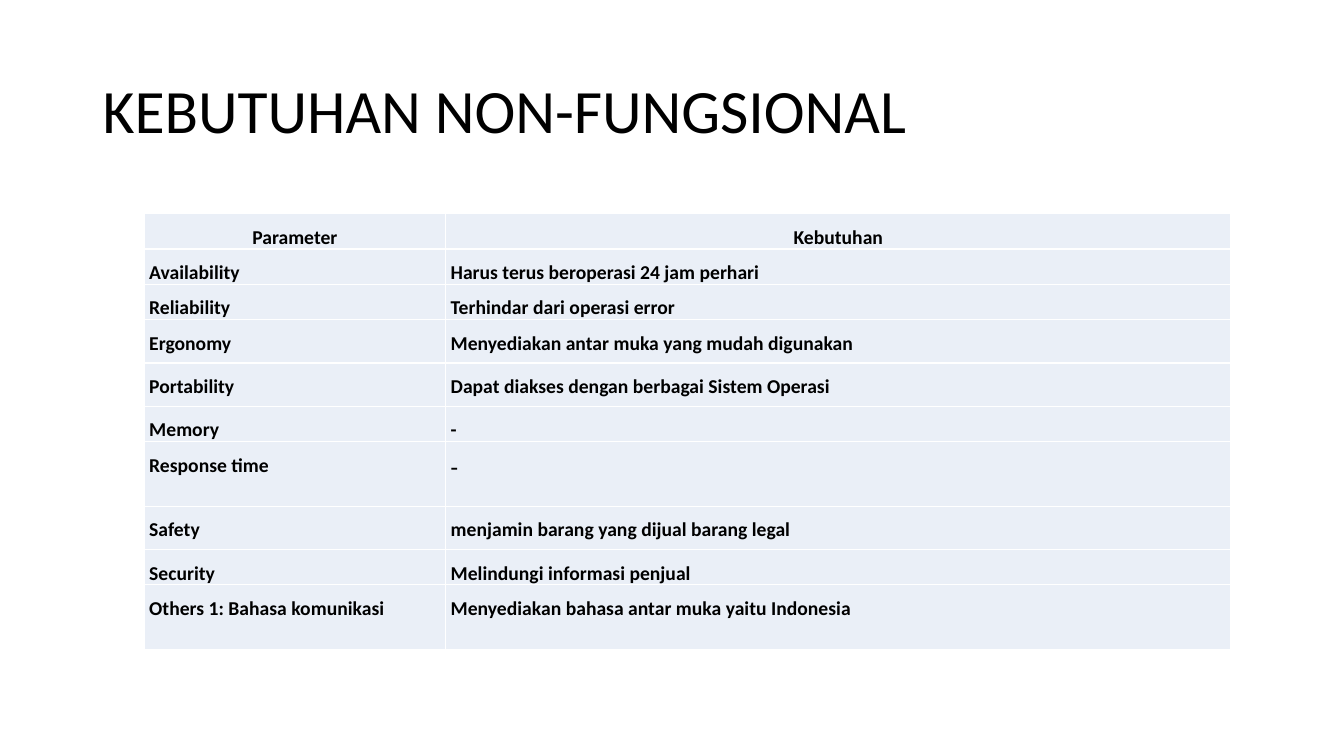
from dataclasses import dataclass
from typing import Any

import pptx
import pptx.dml.color
import pptx.enum.text
import pptx.oxml
import pptx.oxml.ns
import pptx.util

Inches = pptx.util.Inches
Pt = pptx.util.Pt
Align = pptx.enum.text.PP_ALIGN
Anchor = pptx.enum.text.MSO_ANCHOR

BLACK = pptx.dml.color.RGBColor(0x00, 0x00, 0x00)
WHITE = pptx.dml.color.RGBColor(0xFF, 0xFF, 0xFF)
PALE_BLUE = pptx.dml.color.RGBColor(0xEA, 0xEF, 0xF7)

BODY_FONT = {"name": "Calibri", "size": Pt(14), "bold": True}
DASH_FONT = {"name": "Times New Roman", "size": Pt(16), "bold": True}
TITLE_FONT = {"name": "Calibri", "size": Pt(44), "bold": False}
CELL_FORMAT = {
    "margin_left": Inches(0.05),
    "margin_right": Inches(0.05),
    "margin_top": 0,
    "margin_bottom": 0,
    "vertical_anchor": Anchor.TOP,
}
COLUMN_WIDTHS = (2.99, 7.79)


@dataclass
class Requirement:
    parameter: str
    need: str
    height: float = 0.21
    parameter_align: Align = Align.JUSTIFY
    need_align: Align = Align.JUSTIFY
    need_font: dict[str, Any] | None = None


REQUIREMENTS = (
    Requirement("Parameter", "Kebutuhan", parameter_align=Align.CENTER, need_align=Align.CENTER),
    Requirement("Availability", "Harus terus beroperasi 24 jam perhari", parameter_align=Align.LEFT),
    Requirement("Reliability", "Terhindar dari operasi error"),
    Requirement("Ergonomy", "Menyediakan antar muka yang mudah digunakan", 0.43),
    Requirement("Portability", "Dapat diakses dengan berbagai Sistem Operasi", 0.43),
    Requirement("Memory", "-"),
    Requirement("Response time", "-", 0.64, need_font=DASH_FONT),
    Requirement("Safety", "menjamin barang yang dijual barang legal", 0.43),
    Requirement("Security", "Melindungi informasi penjual"),
    Requirement("Others 1: Bahasa komunikasi", "Menyediakan bahasa antar muka yaitu Indonesia", 0.64),
)


def apply_format(target: Any, values: dict[str, Any]) -> None:
    for name, value in values.items():
        setattr(target, name, value)


def write_text(frame: Any, text: str, font: dict[str, Any], align: Align, spacing: float) -> None:
    para = frame.paragraphs[0]
    apply_format(para, {"alignment": align, "line_spacing": spacing})
    span = para.add_run()
    span.text = text
    apply_format(span.font, font)
    span.font.color.rgb = BLACK


def add_borders(cell: Any) -> None:
    properties = cell._tc.get_or_add_tcPr()
    for index, side in enumerate(("lnL", "lnR", "lnT", "lnB")):
        border = pptx.oxml.parse_xml(
            f'<a:{side} {pptx.oxml.ns.nsdecls("a")} w="{Pt(1)}"><a:solidFill>'
            f'<a:srgbClr val="{WHITE}"/></a:solidFill></a:{side}>'
        )
        properties.insert(index, border)


def fill_cell(cell: Any, text: str, font: dict[str, Any], align: Align) -> None:
    apply_format(cell, CELL_FORMAT)
    cell.fill.solid()
    cell.fill.fore_color.rgb = PALE_BLUE
    add_borders(cell)
    write_text(cell.text_frame, text, font, align, 1.5)


def add_title(page: Any) -> None:
    box = page.shapes.add_textbox(Inches(0.92), Inches(0.4), Inches(11.5), Inches(1.45))
    apply_format(box.text_frame, {"word_wrap": True, "vertical_anchor": Anchor.MIDDLE})
    write_text(box.text_frame, "KEBUTUHAN NON-FUNGSIONAL", TITLE_FONT, Align.LEFT, 0.9)


def add_requirements(page: Any) -> None:
    table = page.shapes.add_table(
        len(REQUIREMENTS), len(COLUMN_WIDTHS),
        Inches(1.43), Inches(2.12), Inches(sum(COLUMN_WIDTHS)),
        Inches(sum(item.height for item in REQUIREMENTS)),
    ).table
    apply_format(table, {"first_row": False, "horz_banding": False})
    for column, width in zip(table.columns, COLUMN_WIDTHS):
        column.width = Inches(width)
    for row, item in zip(table.rows, REQUIREMENTS):
        row.height = Inches(item.height)
        fill_cell(row.cells[0], item.parameter, BODY_FONT, item.parameter_align)
        fill_cell(row.cells[1], item.need, item.need_font or BODY_FONT, item.need_align)


deck = pptx.Presentation()
apply_format(deck, {"slide_width": Inches(13.33), "slide_height": Inches(7.5)})
page = deck.slides.add_slide(deck.slide_layouts[6])
add_title(page)
add_requirements(page)
deck.save("out.pptx")
